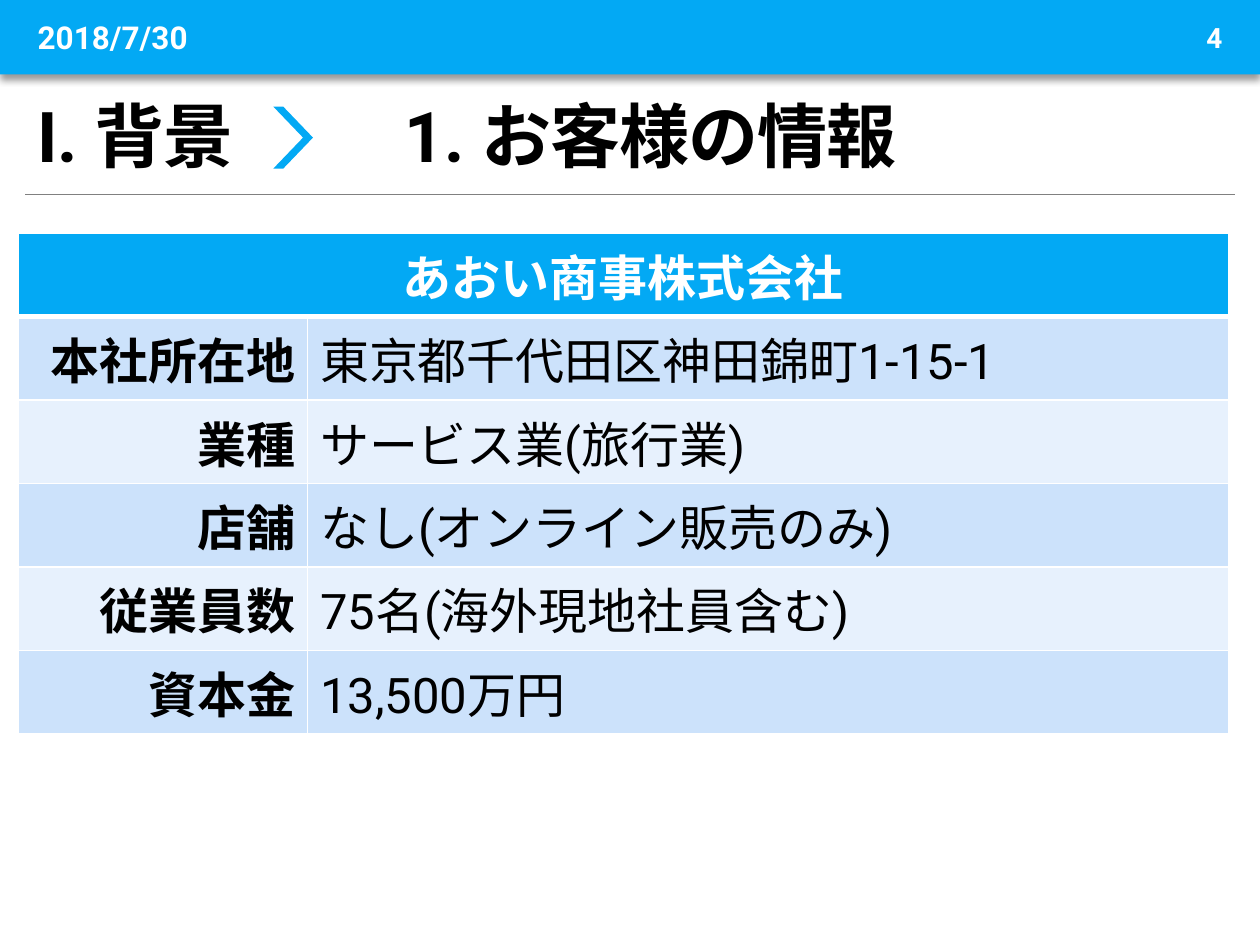
from dataclasses import dataclass
from typing import NamedTuple

from lxml.etree import SubElement
from pptx import Presentation
from pptx.dml.color import RGBColor
from pptx.enum.shapes import MSO_CONNECTOR, MSO_SHAPE
from pptx.enum.text import MSO_ANCHOR, MSO_AUTO_SIZE, PP_ALIGN
from pptx.oxml.ns import qn
from pptx.util import Cm, Pt


@dataclass(frozen=True)
class Theme:
    face: str = "Roboto"
    blue: str = "03A9F4"
    white: str = "FFFFFF"
    black: str = "000000"
    gray: str = "808080"
    bands: tuple[str, str] = ("CCE2FB", "E7F1FD")
    title: int = 40
    table: int = 28
    date: int = 18
    page: int = 16


class Box(NamedTuple):
    left: float
    top: float
    width: float
    height: float

    def cm(self) -> list[Cm]:
        return [Cm(size) for size in self]


class Fact(NamedTuple):
    label: str
    value: str


class Note(NamedTuple):
    text: str
    box: Box
    size: int
    align: PP_ALIGN


THEME = Theme()
FACTS = [
    Fact("本社所在地", "東京都千代田区神田錦町1-15-1"),
    Fact("業種", "サービス業(旅行業)"),
    Fact("店舗", "なし(オンライン販売のみ)"),
    Fact("従業員数", "75名(海外現地社員含む)"),
    Fact("資本金", "13,500万円"),
]
NOTES = [
    Note("2018/7/30", Box(0.51, 0.25, 4.5, 1), THEME.date, PP_ALIGN.LEFT),
    Note("4", Box(20.5, 0.25, 4.39, 1), THEME.page, PP_ALIGN.RIGHT),
]


def style(para, size: int, color: str, bold: bool, align: PP_ALIGN) -> None:
    para.alignment = align
    font = para.font
    font.name = THEME.face
    font.size = Pt(size)
    font.bold = bold
    font.color.rgb = RGBColor.from_string(color)


def paint(fill, color: str) -> None:
    fill.solid()
    fill.fore_color.rgb = RGBColor.from_string(color)


def add_shape(slide, kind: MSO_SHAPE, box: Box):
    shape = slide.shapes.add_shape(kind, *box.cm())
    shape.shadow.inherit = False
    paint(shape.fill, THEME.blue)
    shape.line.fill.background()
    return shape


def add_bar(slide) -> None:
    bar = add_shape(slide, MSO_SHAPE.RECTANGLE, Box(0, 0, 25.4, 1.5))
    effects = bar._element.spPr.find(qn("a:effectLst"))
    shade = SubElement(effects, qn("a:outerShdw"), blurRad=str(Pt(4)),
                       dist=str(Pt(3)), dir="5400000", rotWithShape="0")
    color = SubElement(shade, qn("a:srgbClr"), val=THEME.black)
    SubElement(color, qn("a:alpha"), val="40000")


def add_rule(slide) -> None:
    ends = [Cm(size) for size in (0.51, 3.91, 24.89, 3.91)]
    rule = slide.shapes.add_connector(MSO_CONNECTOR.STRAIGHT, *ends)
    rule.line.color.rgb = RGBColor.from_string(THEME.gray)
    rule.line.width = Pt(0.5)
    SubElement(rule._element.spPr, qn("a:effectLst"))


def set_title(slide) -> None:
    title = slide.shapes.title
    title.left, title.top, title.width, title.height = Box(0.51, 1.7, 24.4, 2).cm()
    frame = title.text_frame
    frame.text = "I. 背景\t1. お客様の情報"
    frame.vertical_anchor = MSO_ANCHOR.BOTTOM
    frame.auto_size = MSO_AUTO_SIZE.NONE
    para = frame.paragraphs[0]
    style(para, THEME.title, THEME.black, True, PP_ALIGN.LEFT)
    para.line_spacing = 0.85
    props = para._p.get_or_add_pPr()
    tabs = props.makeelement(qn("a:tabLst"), {})
    SubElement(tabs, qn("a:tab"), pos=str(Cm(7.4)), algn="l")
    props.find(qn("a:defRPr")).addprevious(tabs)
    for run in para.runs:
        run._r.get_or_add_rPr().set("spc", "-50")


def add_note(slide, note: Note) -> None:
    frame = slide.shapes.add_textbox(*note.box.cm()).text_frame
    frame.word_wrap = True
    frame.vertical_anchor = MSO_ANCHOR.MIDDLE
    frame.text = note.text
    style(frame.paragraphs[0], note.size, THEME.white, True, note.align)


def set_edges(cell, base: float) -> None:
    props = cell._tc.get_or_add_tcPr()
    for side, width in (("L", 1), ("R", 1), ("T", 1), ("B", base)):
        line = SubElement(props, qn(f"a:ln{side}"), w=str(Pt(width)))
        fill = SubElement(line, qn("a:solidFill"))
        SubElement(fill, qn("a:srgbClr"), val=THEME.white)


def set_cell(cell, text: str, fill: str, color: str, bold: bool,
             align: PP_ALIGN, base: float = 1) -> None:
    set_edges(cell, base)
    paint(cell.fill, fill)
    cell.text = text
    style(cell.text_frame.paragraphs[0], THEME.table, color, bold, align)


def add_facts(slide) -> None:
    box = Box(0.36, 4.7, 24.4, 8.64)
    table = slide.shapes.add_table(len(FACTS) + 1, 2, *box.cm()).table
    table.columns[0].width = Cm(5.84)
    table.columns[1].width = Cm(box.width - 5.84)
    head = table.cell(0, 0)
    head.merge(table.cell(0, 1))
    set_cell(head, "あおい商事株式会社", THEME.blue, THEME.white, True,
             PP_ALIGN.CENTER, 3)
    set_edges(table.cell(0, 1), 3)
    for row, fact in enumerate(FACTS, 1):
        fill = THEME.bands[(row - 1) % 2]
        set_cell(table.cell(row, 0), fact.label, fill, THEME.black, True,
                 PP_ALIGN.RIGHT)
        set_cell(table.cell(row, 1), fact.value, fill, THEME.black, False,
                 PP_ALIGN.LEFT)


def main() -> None:
    deck = Presentation()
    deck.slide_width, deck.slide_height = Cm(25.4), Cm(19.05)
    slide = deck.slides.add_slide(deck.slide_layouts[5])
    add_bar(slide)
    add_rule(slide)
    set_title(slide)
    add_facts(slide)
    for note in NOTES:
        add_note(slide, note)
    arrow = add_shape(slide, MSO_SHAPE.CHEVRON, Box(5.51, 2.15, 0.8, 1.25))
    arrow.adjustments[0] = 0.75
    deck.save("out.pptx")


if __name__ == "__main__":
    main()
